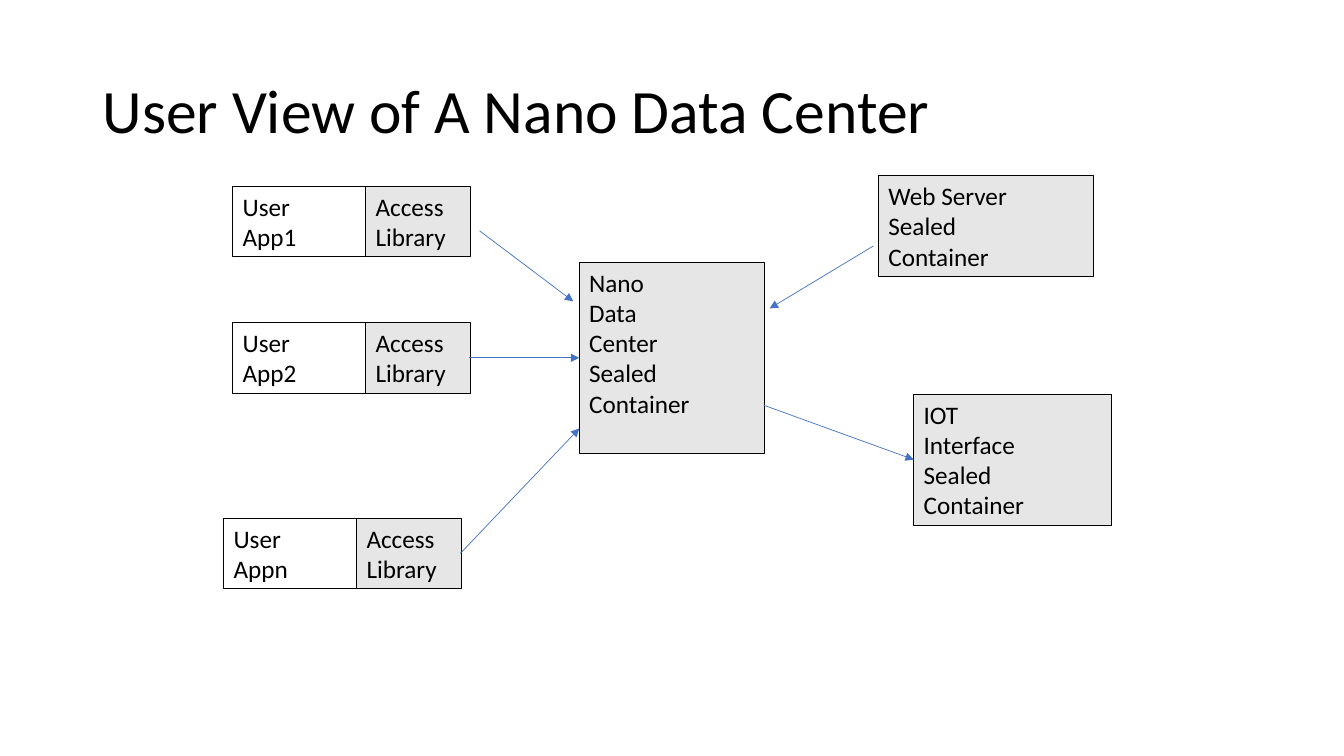
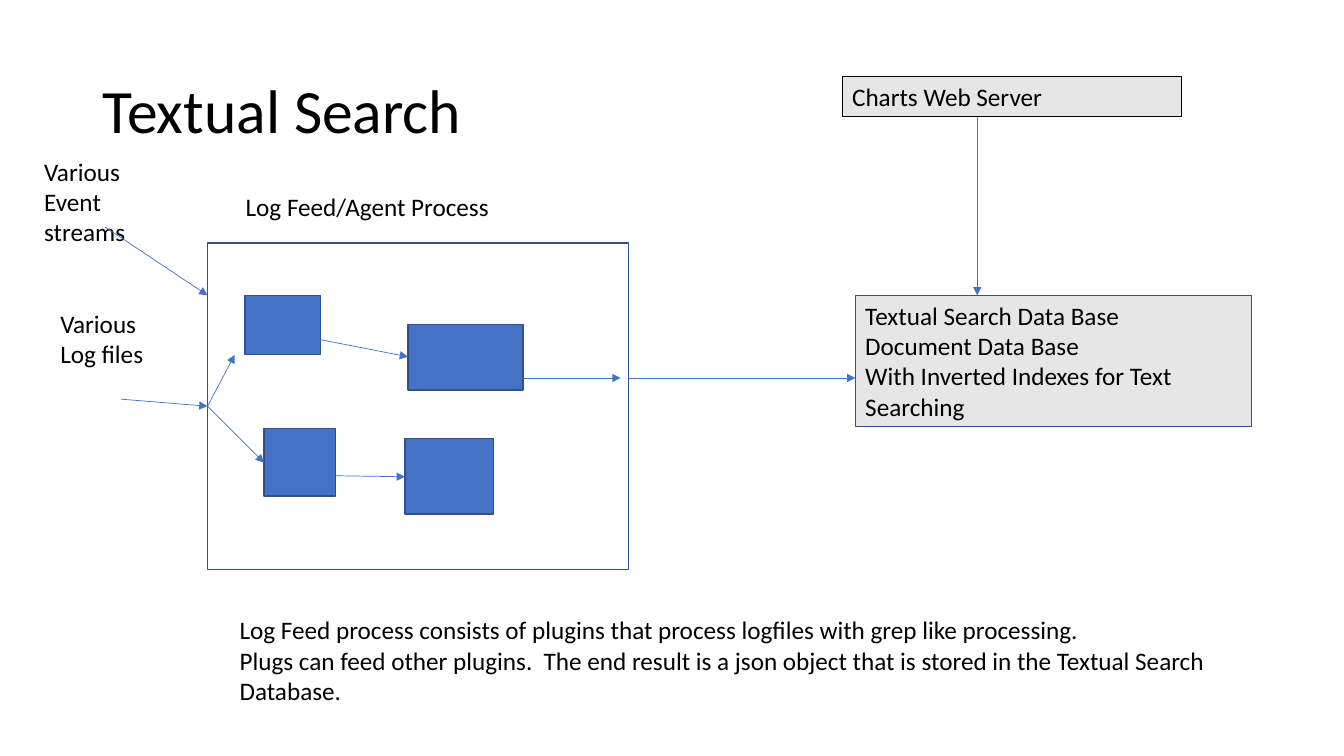
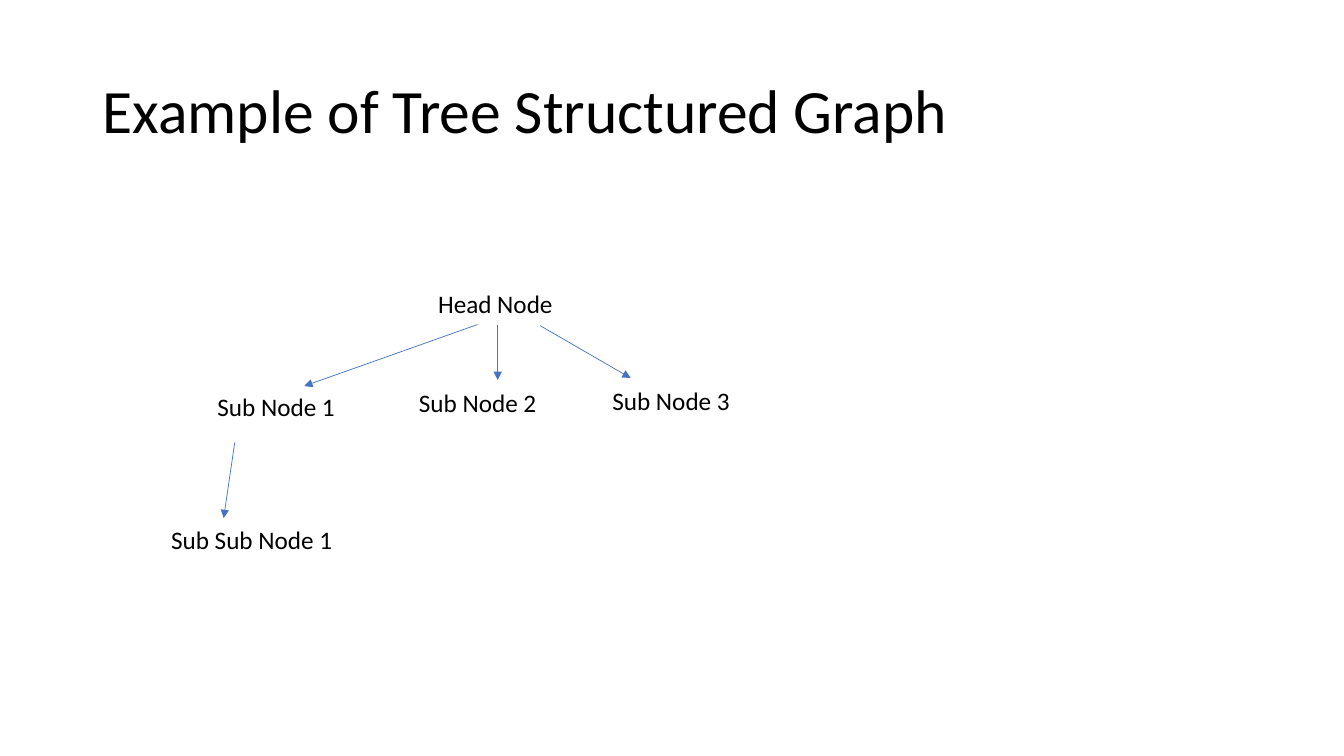
"""Build three slides on a nano data center, a search pipeline and a tree graph."""
from dataclasses import dataclass
from typing import Optional

from lxml.etree import SubElement
from pptx import Presentation
from pptx.dml.color import RGBColor
from pptx.enum.shapes import MSO_CONNECTOR, MSO_SHAPE
from pptx.enum.text import MSO_ANCHOR, PP_ALIGN
from pptx.oxml.ns import qn
from pptx.slide import Slide
from pptx.util import Inches, Length, Pt

BLACK = RGBColor(0x00, 0x00, 0x00)
GRAY = RGBColor(0xE7, 0xE6, 0xE6)
BLUE = RGBColor(0x44, 0x72, 0xC4)
NAVY = RGBColor(0x2F, 0x52, 0x8F)
FONT = "Calibri"
COLUMNS, ROWS = 133.4, 75
BLANK_LAYOUT = 6


@dataclass(frozen=True)
class Box:
    left: float
    top: float
    width: float
    height: float
    text: str = ""
    fill: Optional[RGBColor] = None
    line: Optional[RGBColor] = None
    weight: float = 0.75
    size: float = 18
    spacing: float = 1.0
    anchor: MSO_ANCHOR = MSO_ANCHOR.TOP


@dataclass(frozen=True)
class Arrow:
    start_column: float
    start_row: float
    end_column: float
    end_row: float


@dataclass(frozen=True)
class Diagram:
    title: str
    boxes: list[Box]
    arrows: list[Arrow]


def cells(count: float) -> Length:
    return Inches(count / 10)


def draw_box(page: Slide, box: Box) -> None:
    place = [cells(n) for n in (box.left, box.top, box.width, box.height)]
    if box.line is None:
        shape = page.shapes.add_textbox(*place)
    else:
        shape = page.shapes.add_shape(MSO_SHAPE.RECTANGLE, *place)
        shape.shadow.inherit = False
        shape.line.color.rgb = box.line
        shape.line.width = Pt(box.weight)
        if box.fill is None:
            shape.fill.background()
        else:
            shape.fill.solid()
            shape.fill.fore_color.rgb = box.fill
    if not box.text:
        return
    frame = shape.text_frame
    frame.word_wrap = True
    frame.vertical_anchor = box.anchor
    frame.text = box.text
    for para in frame.paragraphs:
        para.alignment = PP_ALIGN.LEFT
        para.line_spacing = box.spacing
        para.font.name = FONT
        para.font.size = Pt(box.size)
        para.font.color.rgb = BLACK


def draw_arrow(page: Slide, arrow: Arrow) -> None:
    connector = page.shapes.add_connector(
        MSO_CONNECTOR.STRAIGHT,
        cells(arrow.start_column), cells(arrow.start_row),
        cells(arrow.end_column), cells(arrow.end_row))
    connector.line.color.rgb = BLUE
    connector.line.width = Pt(0.5)
    outline = connector._element.spPr.find(qn("a:ln"))
    SubElement(outline, qn("a:tailEnd"), type="triangle")
    SubElement(connector._element.spPr, qn("a:effectLst"))


def gray_box(left: float, top: float, width: float, height: float, text: str,
             line: RGBColor = BLACK) -> Box:
    return Box(left, top, width, height, text, GRAY, line)


def app_pair(left: float, top: float, name: str) -> list[Box]:
    app_width, library_width, height = 13.2, 10.4, 7
    return [Box(left, top, app_width, height, f"User\n{name}", line=BLACK),
            gray_box(left + app_width, top, library_width, height, "Access\nLibrary")]


def plugin(left: float, top: float, width: float, height: float) -> Box:
    return Box(left, top, width, height, fill=BLUE, line=NAVY, weight=1)


def label(left: float, top: float, width: float, text: str) -> Box:
    return Box(left, top, width, 1 + 3 * len(text.splitlines()), text)


def draw_diagram(deck: Presentation, diagram: Diagram) -> None:
    page = deck.slides.add_slide(deck.slide_layouts[BLANK_LAYOUT])
    draw_box(page, Box(9.2, 4, 115, 14.5, diagram.title, size=44, spacing=0.9,
                       anchor=MSO_ANCHOR.MIDDLE))
    for box in diagram.boxes:
        draw_box(page, box)
    for arrow in diagram.arrows:
        draw_arrow(page, arrow)


USER_VIEW = Diagram(
    "User View of A Nano Data Center",
    [*app_pair(23.1, 18.5, "App1"),
     *app_pair(23.1, 32, "App2"),
     *app_pair(22.2, 51.4, "Appn"),
     gray_box(57.5, 26, 18.4, 19, "Nano\nData\nCenter\nSealed\nContainer"),
     gray_box(87.2, 17.4, 21.3, 10, "Web Server\nSealed\nContainer"),
     gray_box(90.7, 39.1, 19.6, 13, "IOT\nInterface\nSealed\nContainer")],
    [Arrow(47.6, 22.9, 56.9, 29.9),
     Arrow(46.6, 35.5, 57.5, 35.5),
     Arrow(45.7, 54.9, 57.5, 42.5),
     Arrow(86.7, 24.4, 76.4, 30.6),
     Arrow(75.8, 40.2, 90.7, 45.6)])

TEXT_SEARCH = Diagram(
    "Textual Search",
    [label(5, 30.1, 11.2, "Various\nLog files"),
     Box(20.6, 24.1, 41.8, 32.4, line=NAVY, weight=1),
     plugin(24.3, 29.3, 7.5, 5.9),
     plugin(26.2, 42.5, 7.1, 6.7),
     plugin(40.5, 32.2, 11.4, 6.5),
     plugin(40.2, 43.5, 8.8, 7.5),
     gray_box(84.9, 29.3, 39.3, 13,
              "Textual Search Data Base\nDocument Data Base\n"
              "With Inverted Indexes for Text\nSearching", NAVY),
     gray_box(83.6, 7.6, 33.7, 4, "Charts Web Server"),
     label(23.4, 18.5, 27, "Log Feed/Agent Process"),
     label(22.8, 60.5, 100,
           "Log Feed process consists of plugins that process logfiles with grep like processing.\n"
           "Plugs can feed other plugins.  The end result is a json object that is stored in the "
           "Textual Search\nDatabase."),
     label(3.4, 15, 10.6, "Various\nEvent\nstreams")],
    [Arrow(62.4, 37.5, 84.9, 37.5),
     Arrow(97, 11.6, 97, 29.3),
     Arrow(12, 39.6, 20.6, 40.3),
     Arrow(20.6, 40.3, 23.3, 35.2),
     Arrow(20.6, 40.3, 26.2, 45.9),
     Arrow(31.8, 33.7, 40.5, 35.4),
     Arrow(33.3, 47.2, 40.2, 47.3),
     Arrow(51.9, 37.5, 61.6, 37.5),
     Arrow(10.4, 22.5, 20.6, 29.3)])

TREE_GRAPH = Diagram(
    "Example of Tree Structured Graph",
    [label(42.5, 28.1, 13.8, "Head Node"),
     label(20.6, 38.3, 14.6, "Sub Node 1"),
     label(40.6, 37.9, 14.6, "Sub Node 2"),
     label(59.8, 37.7, 14.6, "Sub Node 3"),
     label(16, 51.5, 18.6, "Sub Sub Node 1")],
    [Arrow(47.4, 32.2, 30.2, 38.3),
     Arrow(49.4, 32.2, 49.4, 37.7),
     Arrow(53.6, 32.3, 62.6, 37.5),
     Arrow(23.3, 43.9, 22.2, 51.4)])


def main() -> None:
    deck = Presentation()
    deck.slide_width, deck.slide_height = cells(COLUMNS), cells(ROWS)
    for diagram in (USER_VIEW, TEXT_SEARCH, TREE_GRAPH):
        draw_diagram(deck, diagram)
    deck.save("out.pptx")


if __name__ == "__main__":
    main()
